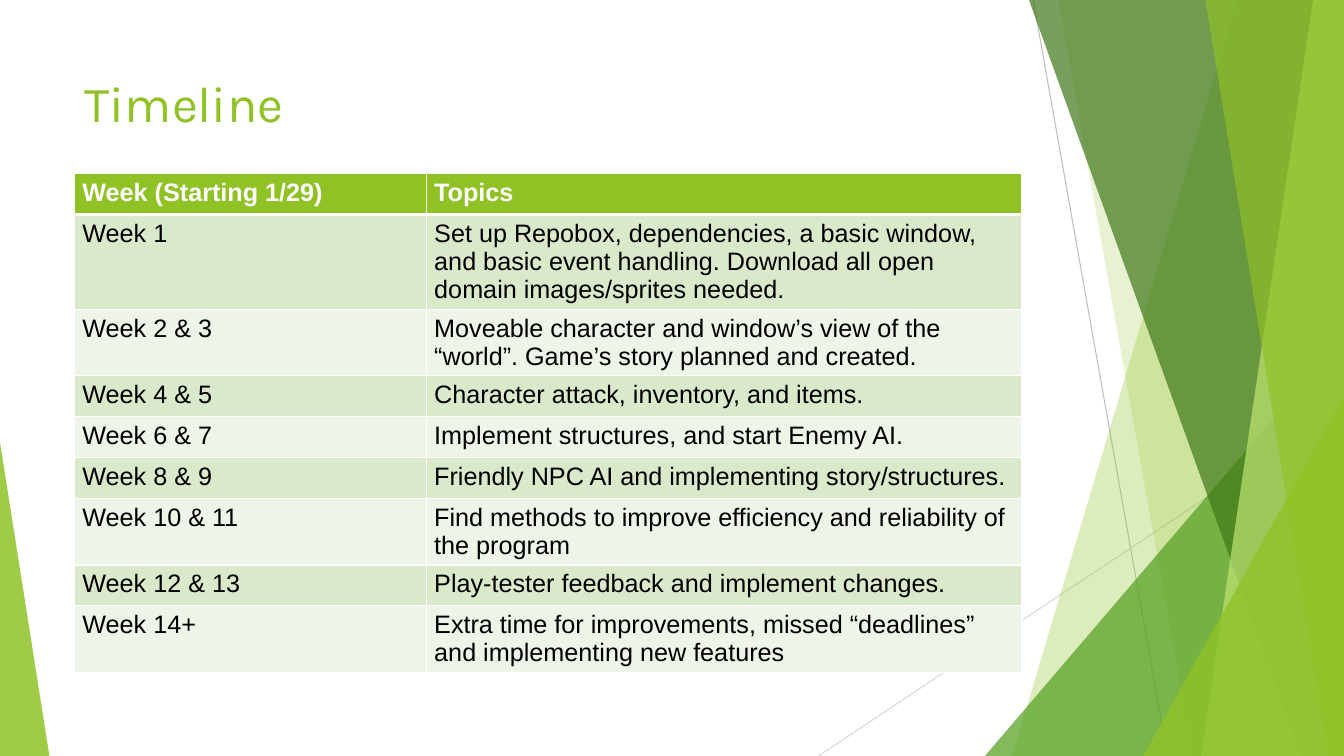
from dataclasses import dataclass
from lxml.etree import SubElement
from pptx import Presentation
from pptx.dml.color import RGBColor as RGB
from pptx.enum.shapes import MSO_CONNECTOR as LINK, MSO_SHAPE as SHAPE
from pptx.enum.text import MSO_ANCHOR as ANCHOR, MSO_AUTO_SIZE as FIT, PP_ALIGN as ALIGN
from pptx.oxml import parse_xml
from pptx.oxml.ns import nsdecls, qn
from pptx.util import Pt


@dataclass(frozen=True)
class Theme:
    lime: str = "90C226"
    leaf: str = "54A021"
    forest: str = "3F7818"
    pale: str = "BFE471"
    odd: str = "DBE9CB"
    even: str = "EEF4E7"
    white: str = "FFFFFF"
    black: str = "000000"
    gray: str = "BFBFBF"
    silver: str = "D8D8D8"
    head: str = "Karla"
    body: str = "Arial"
    big: int = 36
    text: int = 18


T = Theme()
WIDE, HIGH = 960, 540

PLAN = [
    ("Week (Starting 1/29)", "Topics"),
    ("Week 1", "Set up Repobox, dependencies, a basic window, and basic event "
               "handling. Download all open domain images/sprites needed."),
    ("Week 2 & 3", "Moveable character and window’s view of the “world”. "
                   "Game’s story planned and created."),
    ("Week 4 & 5", "Character attack, inventory, and items."),
    ("Week 6 & 7", "Implement structures, and start Enemy AI."),
    ("Week 8 & 9", "Friendly NPC AI and implementing story/structures."),
    ("Week 10 & 11", "Find methods to improve efficiency and reliability of the program"),
    ("Week 12 & 13", "Play-tester feedback and implement changes."),
    ("Week 14+", "Extra time for improvements, missed “deadlines” "
                 "and implementing new features"),
]


def style(para, font, size, color, bold=False):
    for run in para.runs:
        run.font.name, run.font.size, run.font.bold = font, Pt(size), bold
        run.font.color.rgb = RGB.from_string(color)


def paint(shape, color, alpha):
    """Fill a shape with a see-through colour, without line or shadow."""
    shape.shadow.inherit = False
    shape.line.fill.background()
    shape.fill.solid()
    shape.fill.fore_color.rgb = RGB.from_string(color)
    tone = shape.fill._xPr.find(qn("a:solidFill"))[0]
    SubElement(tone, qn("a:alpha")).set("val", str(alpha * 1000))


def ray(slide, x1, y1, x2, y2, color):
    line = slide.shapes.add_connector(LINK.STRAIGHT, Pt(x1), Pt(y1), Pt(x2), Pt(y2))
    line.line.width = Pt(0.75)
    line.line.color.rgb = RGB.from_string(color)
    SubElement(line._element.spPr, qn("a:effectLst"))


def band(slide, top, foot, color, alpha):
    """Full-height band from a slanted left side to the right slide edge."""
    pen = slide.shapes.build_freeform(Pt(top), 0)
    spots = [(WIDE, 0), (WIDE, HIGH), (foot, HIGH)]
    pen.add_line_segments([(Pt(x), Pt(y)) for x, y in spots])
    paint(pen.convert_to_shape(), color, alpha)


def wedge(slide, left, top, width, peak, color, alpha):
    """Right triangle standing on the bottom edge; peak is 0 or 1."""
    shape = slide.shapes.add_shape(
        SHAPE.ISOSCELES_TRIANGLE, Pt(left), Pt(top), Pt(width), Pt(HIGH - top))
    shape.adjustments[0] = peak
    paint(shape, color, alpha)


def decor(slide):
    ray(slide, 738, 0, 834, HIGH, T.gray)
    ray(slide, WIDE, 290, 584.6, HIGH, T.silver)
    band(slide, 884, 723, T.lime, 30)
    band(slide, 756, 852, T.lime, 20)
    wedge(slide, 703.5, 240, 256.5, 1, T.leaf, 72)
    band(slide, 735, 929.5, T.forest, 70)
    band(slide, 938, 858, T.pale, 70)
    band(slide, 861, 949, T.lime, 65)
    wedge(slide, 816.5, 283, 143.5, 1, T.lime, 80)
    wedge(slide, 0, 316, 35.3, 0, T.lime, 85)


def title(slide, text):
    box = slide.shapes.title
    box.left, box.top, box.width, box.height = Pt(53.3), Pt(48), Pt(677), Pt(104)
    frame = box.text_frame
    frame.text = text
    frame.auto_size = FIT.NONE
    frame.vertical_anchor = ANCHOR.TOP
    para = frame.paragraphs[0]
    para.alignment = ALIGN.LEFT
    style(para, T.head, T.big, T.lime)


def frame_cell(cell, top, foot):
    """White cell borders, with the given top and bottom weights."""
    props = cell._tc.get_or_add_tcPr()
    for spot, (side, width) in enumerate(zip("LRTB", (1, 1, top, foot))):
        props.insert(spot, parse_xml(
            f'<a:ln{side} {nsdecls("a")} w="{Pt(width)}"><a:solidFill>'
            f'<a:srgbClr val="{T.white}"/></a:solidFill></a:ln{side}>'))


def fill_cell(cell, text, row):
    first = row == 0
    shade = T.lime if first else (T.even, T.odd)[row % 2]
    cell.text_frame.text = text
    cell.margin_left = cell.margin_right = Pt(5.6)
    cell.margin_top = cell.margin_bottom = Pt(3.6)
    cell.fill.solid()
    cell.fill.fore_color.rgb = RGB.from_string(shade)
    style(cell.text_frame.paragraphs[0], T.body, T.text,
          T.white if first else T.black, first)
    frame_cell(cell, 3 if row == 1 else 1, 3 if first else 1)


def schedule(slide, plan):
    cols, tall = (251.3, 425.5), 29.2
    grid = slide.shapes.add_table(
        len(plan), len(cols), Pt(53.3), Pt(124),
        Pt(sum(cols)), Pt(tall * len(plan))).table
    for col, width in zip(grid.columns, cols):
        col.width = Pt(width)
    for row, texts in enumerate(plan):
        grid.rows[row].height = Pt(tall)
        for col, text in enumerate(texts):
            fill_cell(grid.cell(row, col), text, row)


def main():
    deck = Presentation()
    deck.slide_width, deck.slide_height = Pt(WIDE), Pt(HIGH)
    slide = deck.slides.add_slide(deck.slide_layouts[5])
    # Background rays, bands and wedges
    decor(slide)
    # Heading and weekly plan
    title(slide, "Timeline")
    schedule(slide, PLAN)
    deck.save("out.pptx")


main()
